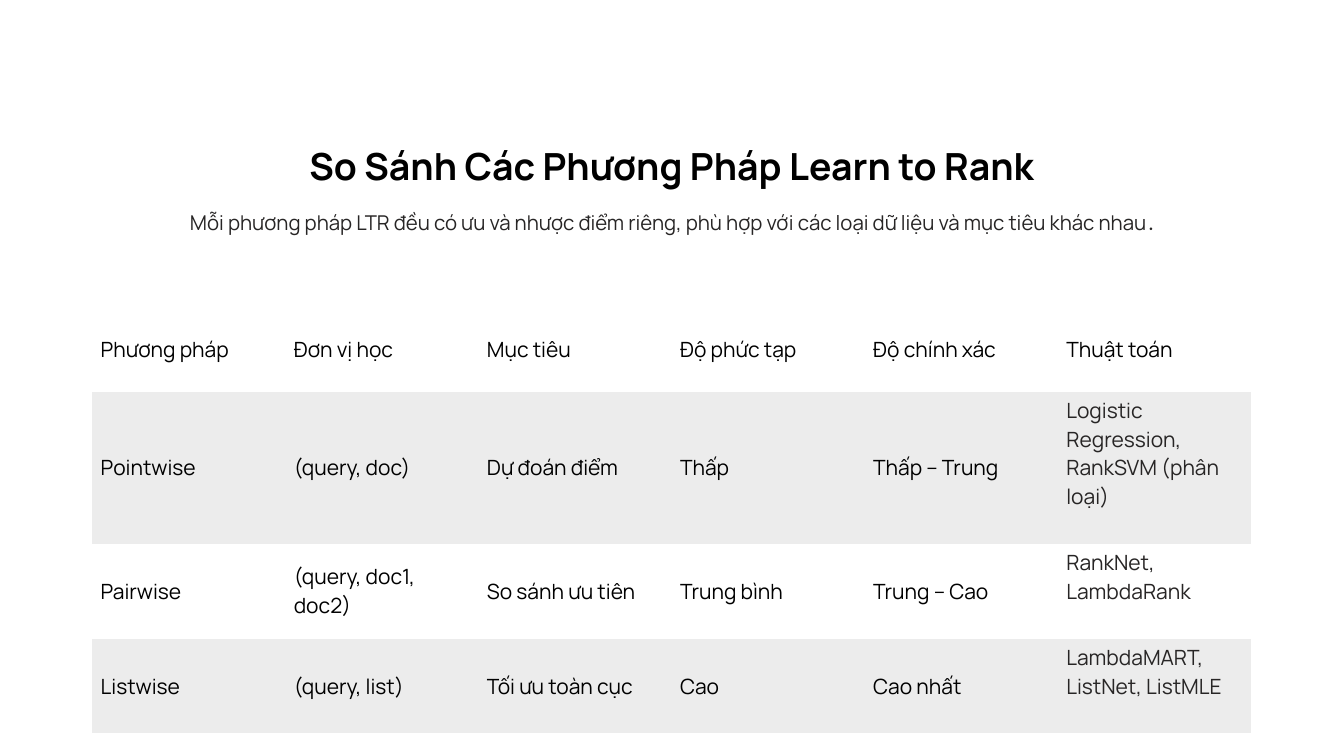
"""Build a slide comparing the Learn to Rank methods in a table."""
from pptx import Presentation
from pptx.dml.color import RGBColor
from pptx.enum.text import MSO_ANCHOR, PP_ALIGN
from pptx.oxml.ns import qn
from pptx.util import Cm, Pt

BLACK, DARK, BAND = "000000", "272525", "ECECEC"
NO_GRID_STYLE = "{2D5ABB26-0587-4C30-8999-92F81FD0307C}"


def style_run(run, size, color, font="Manrope", bold=False):
    run.font.name = font
    run.font.size = Pt(size)
    run.font.bold = bold
    run.font.color.rgb = RGBColor.from_string(color)


def add_centred_line(text, left, top, width, height, line_spacing):
    text_frame = slide.shapes.add_textbox(Cm(left), Cm(top), Cm(width), Cm(height)).text_frame
    text_frame.margin_left = text_frame.margin_right = 0
    text_frame.margin_top = text_frame.margin_bottom = 0
    text_frame.word_wrap = False
    text_frame.text = text
    paragraph = text_frame.paragraphs[0]
    paragraph.alignment = PP_ALIGN.CENTER
    paragraph.line_spacing = Pt(line_spacing)
    return paragraph


presentation = Presentation()
presentation.slide_width = Cm(40.64)
presentation.slide_height = Cm(22.86)
slide = presentation.slides.add_slide(presentation.slide_layouts[6])

methods = [
    ["Phương pháp", "Đơn vị học", "Mục tiêu", "Độ phức tạp", "Độ chính xác", "Thuật toán"],
    ["Pointwise", "(query, doc)", "Dự đoán điểm", "Thấp", "Thấp – Trung",
     "Logistic Regression, RankSVM (phân loại)"],
    ["Pairwise", "(query, doc1, doc2)", "So sánh ưu tiên", "Trung bình", "Trung – Cao",
     "RankNet, LambdaRank"],
    ["Listwise", "(query, list)", "Tối ưu toàn cục", "Cao", "Cao nhất",
     "LambdaMART, ListNet, ListMLE"],
]
row_heights = [2.57, 4.6, 2.87, 2.87]
column_width = 5.84
column_count = len(methods[0])

table = slide.shapes.add_table(
    len(methods), column_count, Cm(2.79), Cm(9.27),
    Cm(column_width * column_count), Cm(sum(row_heights))).table
table.first_row = False
table.horz_banding = False
table._tbl.tblPr.find(qn("a:tableStyleId")).text = NO_GRID_STYLE

for column in table.columns:
    column.width = Cm(column_width)

for row_index, (row_texts, row_height) in enumerate(zip(methods, row_heights)):
    table.rows[row_index].height = Cm(row_height)
    for column_index, text in enumerate(row_texts):
        cell = table.cell(row_index, column_index)
        is_algorithm = row_index > 0 and column_index == column_count - 1
        cell.text_frame.text = text
        cell.vertical_anchor = MSO_ANCHOR.MIDDLE
        style_run(cell.text_frame.paragraphs[0].runs[0], 18, DARK if is_algorithm else BLACK)
        if is_algorithm:
            cell.margin_bottom = Cm(0.99)
        if row_index % 2:
            cell.fill.solid()
            cell.fill.fore_color.rgb = RGBColor.from_string(BAND)
        else:
            cell.fill.background()

title = add_centred_line("So Sánh Các Phương Pháp Learn to Rank", 5.03, 3.63, 30.58, 2.06, 58.5)
style_run(title.runs[0], 32, BLACK, bold=True)

subtitle = add_centred_line(
    "Mỗi phương pháp LTR đều có ưu và nhược điểm riêng, "
    "phù hợp với các loại dữ liệu và mục tiêu khác nhau",
    2.21, 6.1, 36.22, 1.02, 28.5)
style_run(subtitle.runs[0], 17.5, DARK)
full_stop = subtitle.add_run()
full_stop.text = "."
style_run(full_stop, 17.5, DARK, font="Inter")

presentation.save("out.pptx")
